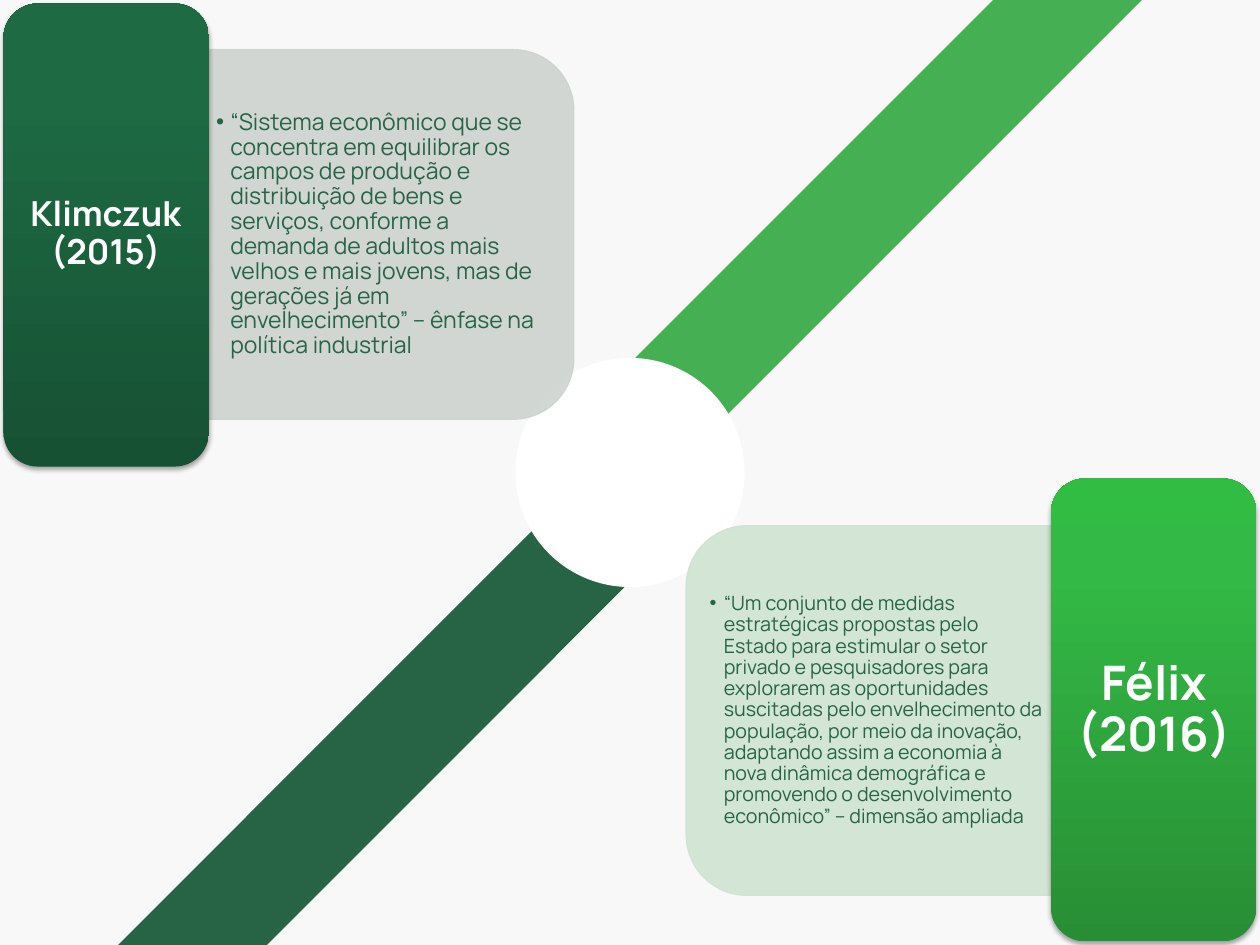
"""Build a slide that sets two definitions at opposite corners of a diagonal band."""
from copy import deepcopy
from lxml.etree import SubElement
from pptx import Presentation
from pptx.dml.color import RGBColor
from pptx.enum.shapes import MSO_SHAPE as Shape
from pptx.enum.text import MSO_ANCHOR as Anchor, MSO_AUTO_SIZE as AutoSize, PP_ALIGN as Align
from pptx.oxml.ns import qn
from pptx.util import Inches, Pt

WIDTH, HEIGHT = 10.67, 8
GREEN, FOREST, WHITE = "45AF53", "276445", "FFFFFF"
CARD = (0.03, 0.03, 1.74, 3.92)
LABEL = (0.11, 0.11, 1.57, 3.75)
PANEL = (1.75, 0.44, 3.13, 3.09)
QUOTE = (1.77, 0.57, 2.94, 2.83)
RADIUS = 0.97


def color(hex_code):
    return RGBColor.from_string(hex_code)


def mirrored(area, flipped):
    left, top, width, height = area
    if flipped:
        left, top = WIDTH - left - width, HEIGHT - top - height
    return [Inches(length) for length in (left, top, width, height)]


deck = Presentation()
deck.slide_width, deck.slide_height = Inches(WIDTH), Inches(HEIGHT)
page = deck.slides.add_slide(deck.slide_layouts.get_by_name("Comparison"))
page.background.fill.solid()
page.background.fill.fore_color.rgb = color("F8F8F8")
title, *boxes = page.placeholders
title._element.getparent().remove(title._element)

bands = [
    (GREEN, [(8.41, 0), (9.67, 0), (5.31, 4.36), (4.68, 3.73)]),
    (FOREST, [(1, HEIGHT), (2.26, HEIGHT), (6.04, 4.22), (5.41, 3.59)]),
]
for shade, corners in bands:
    points = [(Inches(x), Inches(y)) for x, y in corners]
    builder = page.shapes.build_freeform(*points[0])
    builder.add_line_segments(points[1:], close=True)
    band = builder.convert_to_shape()
    band.shadow.inherit = False
    band.fill.solid()
    band.fill.fore_color.rgb = color(shade)
    band.line.fill.background()

hub_area = (WIDTH / 2 - RADIUS, HEIGHT / 2 - RADIUS, 2 * RADIUS, 2 * RADIUS)
hub = page.shapes.add_shape(Shape.OVAL, *mirrored(hub_area, False))
hub.shadow.inherit = False
hub.fill.solid()
hub.fill.fore_color.rgb = color(WHITE)
hub.line.fill.background()

definitions = [
    ("Klimczuk (2015)", 21, (0.09, 0.04),
     "“Sistema econômico que se concentra em equilibrar os campos de produção e distribuição "
     "de bens e serviços, conforme a demanda de adultos mais velhos e mais jovens, mas de "
     "gerações já em envelhecimento” – ênfase na política industrial",
     14, (0.06, 0.03), "CDD3CF", ("165133", "1D6A43", "1C6C43")),
    ("Félix (2016)", 29, (0.12, 0.06),
     "“Um conjunto de medidas estratégicas propostas pelo Estado para estimular o setor "
     "privado e pesquisadores para explorarem as oportunidades suscitadas pelo "
     "envelhecimento da população, por meio da inovação, adaptando assim a economia à nova "
     "dinâmica demográfica e promovendo o desenvolvimento econômico” – dimensão ampliada",
     12, (0.05, 0.03), "CFE3D1", ("288E35", "33B945", "31BC44")),
]
for flipped, definition in enumerate(definitions):
    author, author_size, author_inset, quote, quote_size, quote_inset, tint, shades = definition
    label_box, quote_box = boxes[2 * flipped:2 * flipped + 2]

    panel = page.shapes.add_shape(Shape.ROUND_2_SAME_RECTANGLE, *mirrored(PANEL, flipped))
    panel.rotation = 270 if flipped else 90
    panel.shadow.inherit = False
    panel.line.width = Pt(0.75)
    for paint in (panel.fill, panel.line.fill):
        paint.solid()
        paint.fore_color.rgb = color(tint)
    for tone in panel._element.spPr.iter(qn("a:srgbClr")):
        SubElement(tone, qn("a:alpha"), val="90000")

    card = page.shapes.add_shape(Shape.ROUNDED_RECTANGLE, *mirrored(CARD, flipped))
    card.line.fill.background()
    card.fill.gradient()
    card.fill.gradient_angle = 90
    stop_list = card._element.spPr.find(".//" + qn("a:gsLst"))
    stop_list.append(deepcopy(stop_list[-1]))
    for stop, position, shade in zip(card.fill.gradient_stops, (0, 0.8, 1), shades):
        stop.position = position
        stop.color.rgb = color(shade)
    card.shadow.inherit = False
    effects = card._element.spPr.find(qn("a:effectLst"))
    shadow = SubElement(effects, qn("a:outerShdw"), blurRad=str(Pt(3.1)), dist=str(Pt(1.8)),
                        dir="5400000", rotWithShape="0")
    SubElement(SubElement(shadow, qn("a:srgbClr"), val="000000"), qn("a:alpha"), val="35000")

    texts = [
        (quote_box, QUOTE, quote, quote_size, quote_inset, FOREST, False),
        (label_box, LABEL, author, author_size, author_inset, WHITE, True),
    ]
    for box, area, words, size, (side, edge), ink, is_label in texts:
        box.left, box.top, box.width, box.height = mirrored(area, flipped)
        page.shapes._spTree.append(box._element)
        frame = box.text_frame
        frame.text = words
        frame.word_wrap = True
        frame.auto_size = AutoSize.NONE
        frame.vertical_anchor = Anchor.MIDDLE
        frame.margin_left = frame.margin_right = Inches(side)
        frame.margin_top = frame.margin_bottom = Inches(edge)
        para = frame.paragraphs[0]
        para.alignment = Align.CENTER if is_label else Align.LEFT
        para.line_spacing = 0.9
        para.space_before = Pt(0)
        if not is_label:
            settings = para._p.get_or_add_pPr()
            settings.set("marL", str(Inches(0.12)))
            settings.set("indent", str(Inches(-0.12)))
            SubElement(settings, qn("a:buChar"), char="•")
        para.font.name = "Manrope"
        para.font.size = Pt(size)
        para.font.bold = is_label
        para.font.color.rgb = color(ink)

deck.save("out.pptx")
